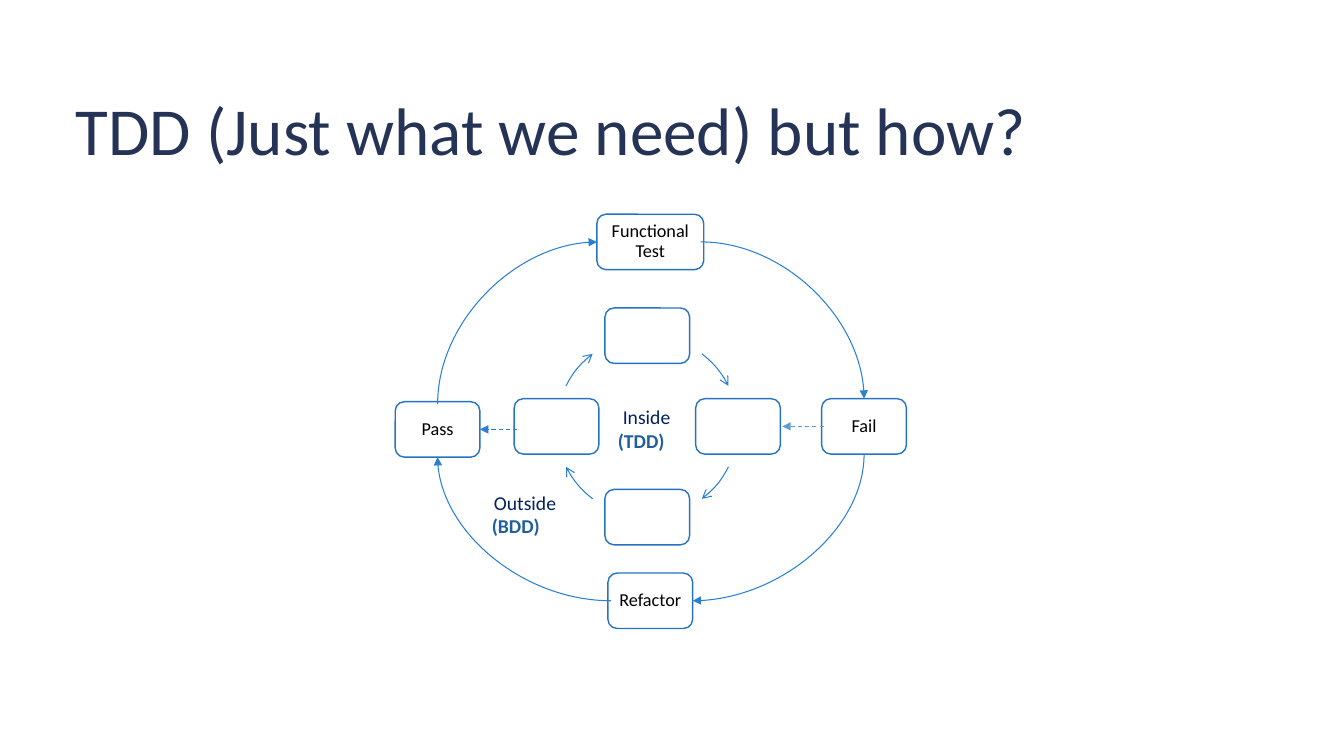
from lxml import etree
from pptx import Presentation
from pptx.dml.color import RGBColor
from pptx.enum.dml import MSO_LINE
from pptx.enum.shapes import MSO_CONNECTOR as Connector, MSO_SHAPE as Shape
from pptx.enum.text import MSO_ANCHOR as Anchor, MSO_AUTO_SIZE as AutoSize, PP_ALIGN as Align
from pptx.oxml.ns import qn
from pptx.util import Inches, Pt

COLORS = {
    "title": "253356", "box_fill": "FFFFFF", "box_line": "2573C1", "box_text": "000000",
    "arrow": "297FD5", "pale_arrow": "629DD1", "label": "002060", "method": "1F5FA0",
}
FONT = "Calibri"
BOX_WIDTH, BOX_HEIGHT = 0.84, 0.55


def color(name):
    return RGBColor.from_string(COLORS[name])


def write(paragraph, text, size=13, fill="box_text", bold=False, align=Align.CENTER):
    paragraph.alignment = align
    run = paragraph.add_run()
    run.text = text
    font = run.font
    font.name, font.size, font.bold = FONT, Pt(size), bold
    font.color.rgb = color(fill)


def set_margins(frame, horizontal, vertical):
    frame.margin_left = frame.margin_right = Inches(horizontal)
    frame.margin_top = frame.margin_bottom = Inches(vertical)


def style_arrow(shape, head="triangle", fill="arrow", dashed=False):
    line = shape.line
    line.color.rgb, line.width = color(fill), Pt(0.75)
    if dashed:
        line.dash_style = MSO_LINE.DASH
    etree.SubElement(line._get_or_add_ln(), qn("a:tailEnd"), type=head)


def add_arrow(slide, kind, start, end, **style):
    connector = slide.shapes.add_connector(kind, *map(Inches, (*start, *end)))
    style_arrow(connector, **style)
    etree.SubElement(connector._element.spPr, qn("a:effectLst"))
    return connector


def add_quarter_curve(slide, start, end, turns):
    """Clockwise quarter curve, turned by a number of right angles."""
    (x1, y1), (x2, y2) = start, end
    width, height = abs(x2 - x1), abs(y2 - y1)
    if turns % 2:
        width, height = height, width
    left, top = (x1 + x2 - width) / 2, (y1 + y2 - height) / 2
    curve = add_arrow(slide, Connector.CURVE, (left, top), (left + width, top + height))
    properties = curve._element.spPr
    properties.find(qn("a:prstGeom")).set("prst", "curvedConnector2")
    properties.find(qn("a:xfrm")).set("rot", str(turns * 90 * 60000))


def add_box(slide, center_x, center_y, text="", width=BOX_WIDTH):
    box = slide.shapes.add_shape(
        Shape.ROUNDED_RECTANGLE, Inches(center_x - width / 2),
        Inches(center_y - BOX_HEIGHT / 2), Inches(width), Inches(BOX_HEIGHT))
    box.shadow.inherit = False
    box.fill.solid()
    box.fill.fore_color.rgb = color("box_fill")
    box.line.color.rgb, box.line.width = color("box_line"), Pt(1)
    if text:
        frame = box.text_frame
        frame.word_wrap, frame.vertical_anchor = True, Anchor.MIDDLE
        set_margins(frame, 0.08, 0.05)
        frame.paragraphs[0].line_spacing = 0.9
        write(frame.paragraphs[0], text)


def add_label(slide, left, top, width, name, method):
    label = slide.shapes.add_textbox(*map(Inches, (left, top, width, 0.57)))
    frame = label.text_frame
    frame.word_wrap, frame.auto_size = False, AutoSize.SHAPE_TO_FIT_TEXT
    write(frame.paragraphs[0], name, size=14, fill="label")
    write(frame.add_paragraph(), method, size=14, fill="method", bold=True, align=Align.LEFT)


def add_title(slide, left, top, width, height):
    title = slide.shapes.title
    title.left, title.top, title.width, title.height = map(Inches, (left, top, width, height))
    frame = title.text_frame
    frame.word_wrap, frame.vertical_anchor = False, Anchor.TOP
    set_margins(frame, 0.1, 0.05)
    write(frame.paragraphs[0], "TDD (Just what we need) but how?",
          size=48, fill="title", align=Align.LEFT)


def add_inside_cycle(slide, left, top, size):
    radius = size / 2
    center_x, center_y = left + radius, top + radius
    # Steps and the arcs between them, clockwise from the top
    steps = [(0, -1), (1, 0), (0, 1), (-1, 0)]
    arcs = [(307, 333.5), (26.5, 53), (127, 153.5), (206.5, 233)]
    for (x, y), angles in zip(steps, arcs):
        add_box(slide, center_x + x * radius, center_y + y * radius)
        arc = slide.shapes.add_shape(Shape.ARC, *map(Inches, (left, top, size, size)))
        arc.shadow.inherit = False
        arc.fill.background()
        for index, angle in enumerate(angles):
            arc.adjustments[index] = angle * 0.6
        style_arrow(arc, head="arrow")
    add_label(slide, center_x - 0.39, center_y - 0.26, 0.81, "Inside ", "(TDD)")


def add_outside_cycle(slide, left, top, width, height):
    right, bottom = left + width, top + height
    middle_x, fail_y, pass_y = left + 2.11, top + 1.83, top + 1.86
    half_width, half_height = BOX_WIDTH / 2, BOX_HEIGHT / 2
    # Steps
    add_box(slide, middle_x, top, "Functional Test", width=1.06)
    add_box(slide, right, fail_y, "Fail")
    add_box(slide, middle_x, bottom, "Refactor")
    add_box(slide, left, pass_y, "Pass")
    # Curves, clockwise from the top
    curves = [
        ((middle_x + 0.5, top), (right, fail_y - half_height)),
        ((right, fail_y + half_height), (middle_x + half_width, bottom)),
        ((middle_x - 0.39, bottom), (left, pass_y + half_height)),
        ((left, pass_y - 0.25), (middle_x - 0.53, top)),
    ]
    for turns, (start, end) in enumerate(curves):
        add_quarter_curve(slide, start, end, turns)
    add_label(slide, left + 0.44, top + 2.42, 0.9, "Outside ", "(BDD)")
    # Links to and from the inside cycle
    add_arrow(slide, Connector.STRAIGHT, (right - 0.4, fail_y), (right - 0.81, fail_y),
              fill="pale_arrow", dashed=True)
    add_arrow(slide, Connector.STRAIGHT, (left + 0.79, pass_y), (left + half_width, pass_y),
              dashed=True)


presentation = Presentation()
presentation.slide_width, presentation.slide_height = Inches(13.33), Inches(7.5)
slide = presentation.slides.add_slide(presentation.slide_layouts[5])
add_title(slide, 0.65, 0.83, 9.91, 0.91)
add_inside_cycle(slide, 5.52, 3.33, 1.8)
add_outside_cycle(slide, 4.34, 2.4, 4.23, 3.56)
presentation.save("out.pptx")
